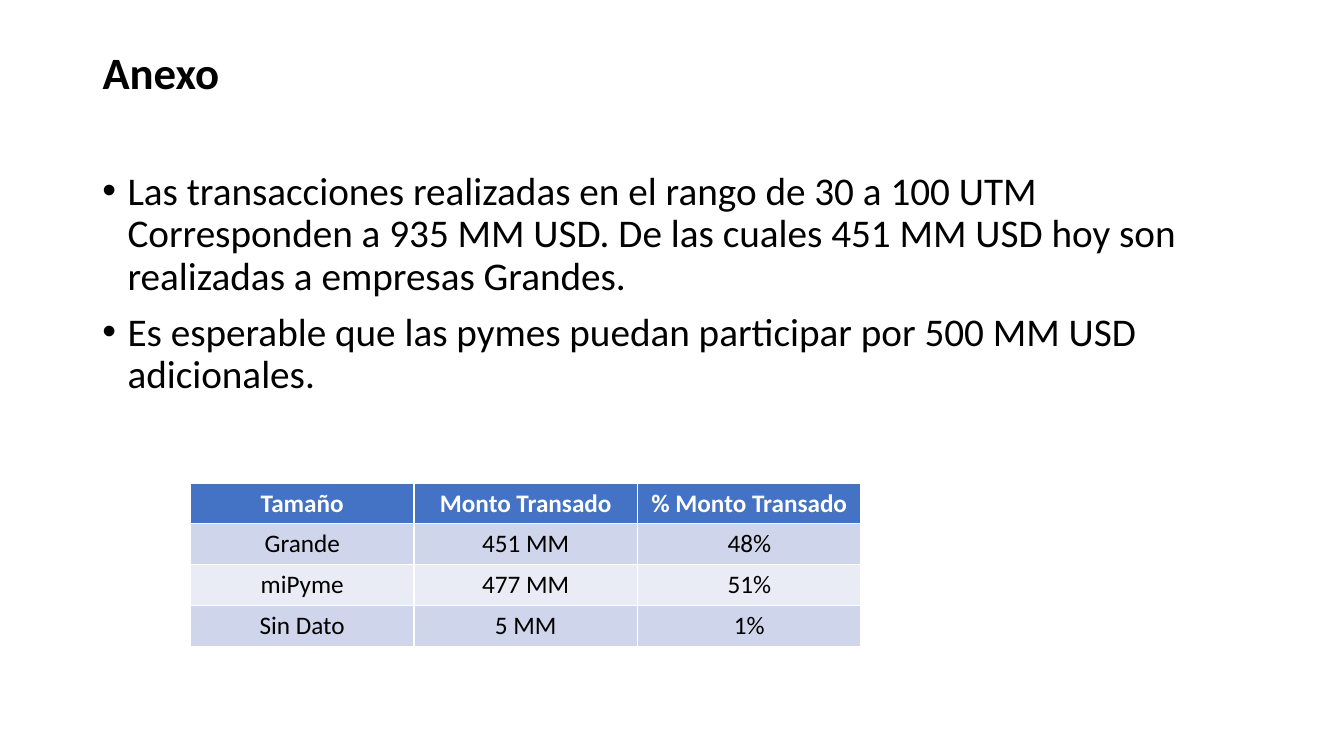
"""Build the "Anexo" slide: a title, two bullets and a table of amounts by company size."""
from lxml.etree import SubElement
from pptx import Presentation
from pptx.dml.color import RGBColor
from pptx.enum.text import MSO_ANCHOR as Anchor, MSO_AUTO_SIZE as AutoSize, PP_ALIGN as Align
from pptx.oxml.ns import qn
from pptx.util import Cm, Pt

COLORS = {"text": "000000", "header": "4472C4", "header_text": "FFFFFF",
          "odd_row": "CFD5EA", "even_row": "E9EBF5"}


class SlideBuilder:
    """Hold the style and the current slide."""

    font_name = "Calibri"

    def __init__(self, deck):
        """Add a title-only slide to the deck."""
        self.slide = deck.slides.add_slide(deck.slide_layouts[5])

    def color(self, name):
        """Return a named colour."""
        return RGBColor.from_string(COLORS[name])

    def set_text(self, paragraph, text, size, color="text", bold=False, **layout):
        """Fill and format one paragraph."""
        paragraph.text = text
        font = paragraph.runs[0].font
        font.color.rgb = self.color(color)
        formats = {"name": self.font_name, "size": Pt(size), "bold": bold}
        for target, values in ((font, formats), (paragraph, layout)):
            for attribute, value in values.items():
                setattr(target, attribute, value)

    def title(self, text, left, top, width, height):
        """Place and format the title."""
        heading = self.slide.shapes.title
        place = {"left": left, "top": top, "width": width, "height": height}
        for attribute, value in place.items():
            setattr(heading, attribute, Cm(value))
        frame = heading.text_frame
        frame.auto_size = AutoSize.NONE
        frame.vertical_anchor = Anchor.MIDDLE
        self.set_text(frame.paragraphs[0], text, 32, bold=True,
                      alignment=Align.LEFT, line_spacing=0.9)

    def bullets(self, texts, *box):
        """Add a bulleted list."""
        frame = self.slide.shapes.add_textbox(*map(Cm, box)).text_frame
        frame.word_wrap = True
        for index, text in enumerate(texts):
            paragraph = frame.add_paragraph() if index else frame.paragraphs[0]
            self.set_text(paragraph, text, 28, line_spacing=0.9, space_before=Pt(10))
            properties = paragraph.runs[0]._r.getparent().get_or_add_pPr()
            indent = Cm(0.635)
            properties.set("marL", str(indent))
            properties.set("indent", str(-indent))
            SubElement(properties, qn("a:buFont"), typeface="Arial")
            SubElement(properties, qn("a:buChar"), char="•")

    def table(self, rows, *box):
        """Draw a table with a header and banded rows."""
        frame = self.slide.shapes.add_table(len(rows), len(rows[0]), *map(Cm, box))
        for row_index, row in enumerate(rows):
            header = row_index == 0
            fill = "header" if header else "odd_row" if row_index % 2 else "even_row"
            for column_index, text in enumerate(row):
                cell = frame.table.cell(row_index, column_index)
                cell.fill.solid()
                cell.fill.fore_color.rgb = self.color(fill)
                self.set_text(cell.text_frame.paragraphs[0], text, 18,
                              "header_text" if header else "text", header,
                              alignment=Align.CENTER)


deck = Presentation()
deck.slide_width, deck.slide_height = Cm(33.87), Cm(19.05)
annex = SlideBuilder(deck)
annex.title("Anexo", 2.33, 1.01, 4.3, 1.76)
annex.bullets([
    "Las transacciones realizadas en el rango de 30 a 100 UTM Corresponden a 935 MM USD. "
    "De las cuales 451 MM USD hoy son realizadas a empresas Grandes.",
    "Es esperable que las pymes puedan participar por 500 MM USD adicionales.",
], 2.33, 4.2, 29.21, 12.09)
annex.table([
    ("Tamaño", "Monto Transado", "% Monto Transado"),
    ("Grande", "451 MM", "48%"),
    ("miPyme", "477 MM", "51%"),
    ("Sin Dato", "5 MM", "1%"),
], 4.8, 12.17, 16.9, 4.12)
deck.save("out.pptx")
